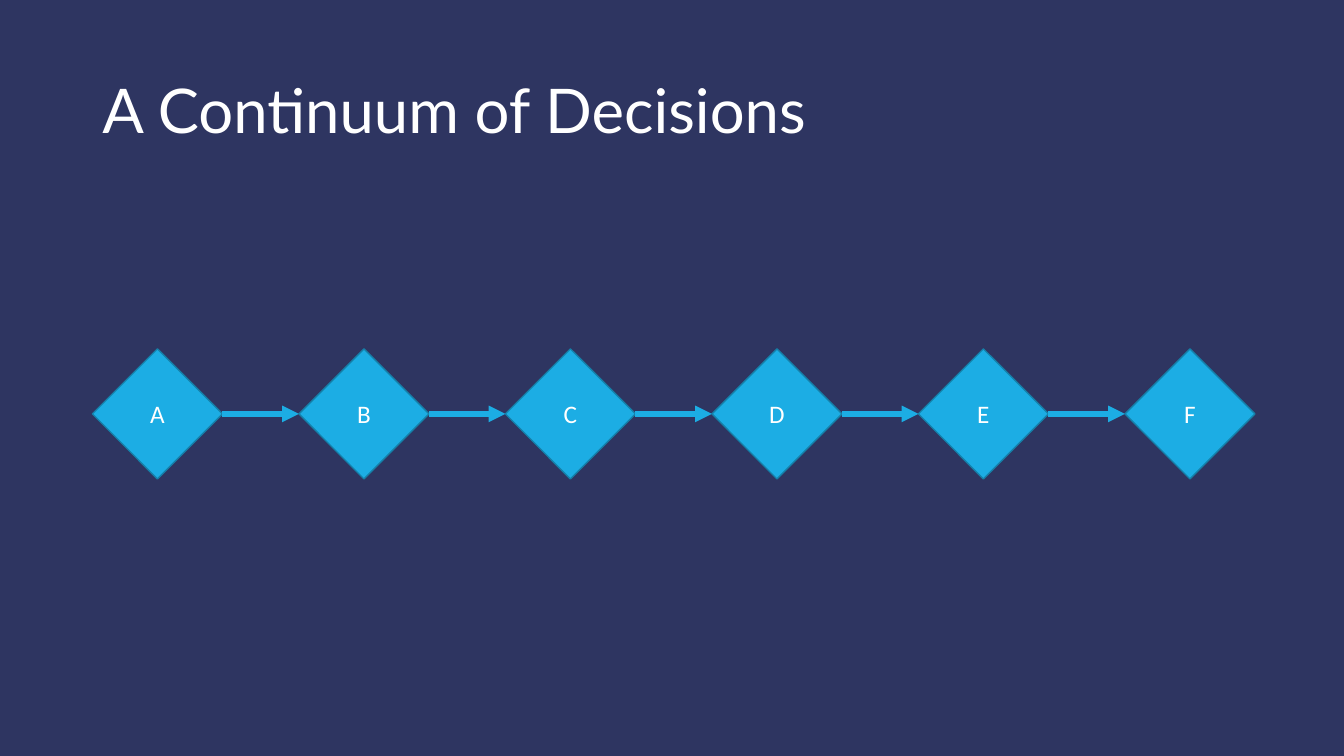
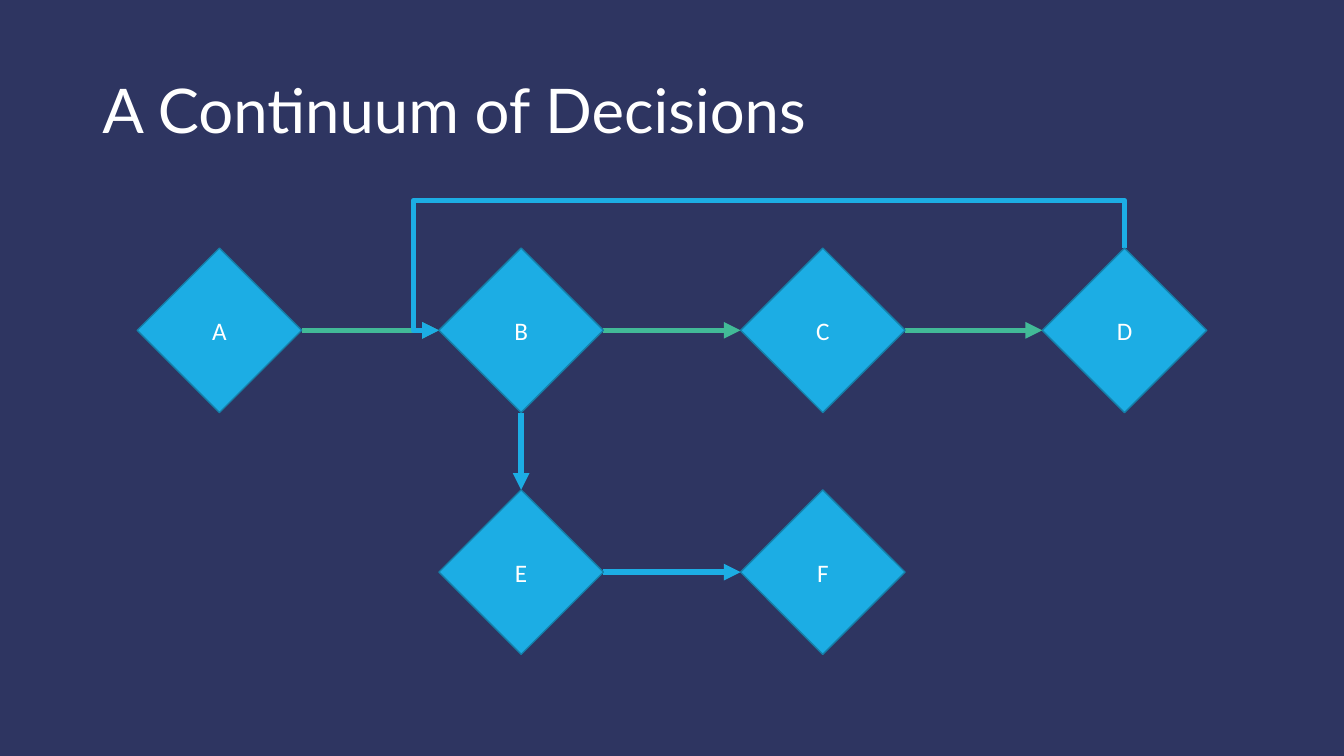
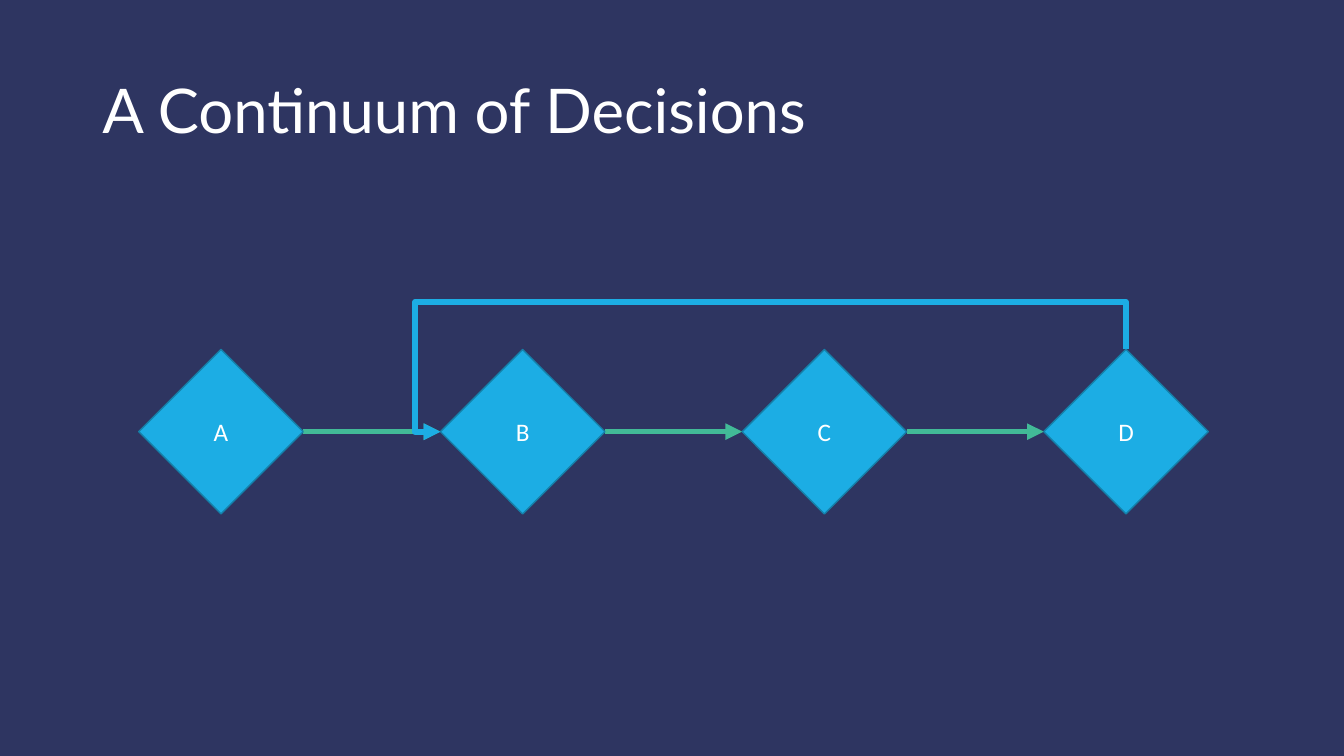
from pptx import Presentation
from pptx.dml.color import RGBColor
from pptx.enum.shapes import MSO_CONNECTOR, MSO_SHAPE
from pptx.enum.text import MSO_ANCHOR, PP_ALIGN
from pptx.oxml.ns import qn
from pptx.util import Pt
from lxml.etree import SubElement

NAVY = RGBColor(0x2E, 0x35, 0x61)
BLUE = RGBColor(0x1C, 0xAD, 0xE4)
EDGE = RGBColor(0x15, 0x80, 0xA9)
GREEN = RGBColor(0x42, 0xBA, 0x97)
WHITE = RGBColor(0xFF, 0xFF, 0xFF)

TITLE = "A Continuum of Decisions"
TITLE_BOX = {"left": Pt(66), "top": Pt(28.75), "width": Pt(828), "height": Pt(104.4)}
TITLE_FONT = {"name": "Lato", "size": Pt(44), "bold": False}
LABEL_FONT = {"name": "Calibri", "size": Pt(18)}
LOOP_RISE, LOOP_LEAD = 34, 18
TOP, LEFT, BOTTOM, RIGHT = range(4)  # connection sites of a diamond

# Nodes are (column, row); pitch is the column and row step in points.
MAIN_ROW = {"A": (0, 0), "B": (1, 0), "C": (2, 0), "D": (3, 0)}
MAIN_LINKS = [("A", "B", GREEN), ("B", "C", GREEN), ("C", "D", GREEN)]
SLIDES = [
    {"origin": (66, 249.2), "size": 92.9, "pitch": (147.5, 0),
     "nodes": {name: (col, 0) for col, name in enumerate("ABCDEF")},
     "links": [(a, b, BLUE) for a, b in zip("ABCDE", "BCDEF")],
     "loops": [], "nodes_on_top": False},
    {"origin": (98, 177.2), "size": 117.5, "pitch": (215.5, 172.7),
     "nodes": {**MAIN_ROW, "E": (1, 1), "F": (2, 1)},
     "links": MAIN_LINKS + [("E", "F", BLUE), ("B", "E", BLUE)],
     "loops": [("D", "B", BLUE)], "nodes_on_top": True},
    {"origin": (99.1, 249.6), "size": 117.5, "pitch": (215.5, 0),
     "nodes": MAIN_ROW, "links": MAIN_LINKS,
     "loops": [("D", "B", BLUE)], "nodes_on_top": True},
]


def apply(target, values):
    for name, value in values.items():
        setattr(target, name, value)


def format_text(tf, text, font, align):
    tf.word_wrap = True
    tf.vertical_anchor = MSO_ANCHOR.MIDDLE
    p = tf.paragraphs[0]
    p.alignment = align
    r = p.add_run()
    r.text = text
    apply(r.font, font)
    r.font.color.rgb = WHITE
    return p


def add_title(s):
    apply(s.shapes.title, TITLE_BOX)
    p = format_text(s.shapes.title.text_frame, TITLE, TITLE_FONT, PP_ALIGN.LEFT)
    p.line_spacing = 0.9


def add_diamond(s, name, x, y, size):
    sp = s.shapes.add_shape(MSO_SHAPE.DIAMOND, Pt(x), Pt(y), Pt(size), Pt(size))
    sp.shadow.inherit = False
    sp.fill.solid()
    sp.fill.fore_color.rgb = BLUE
    sp.line.color.rgb = EDGE
    sp.line.width = Pt(1)
    format_text(sp.text_frame, name, LABEL_FONT, PP_ALIGN.CENTER)
    return sp


def add_arrow(s, kind, start, start_site, end, end_site, color):
    cxn = s.shapes.add_connector(kind, 0, 0, 0, 0)
    cxn.begin_connect(start, start_site)
    cxn.end_connect(end, end_site)
    cxn.line.color.rgb = color
    cxn.line.width = Pt(4)
    SubElement(cxn.line._get_or_add_ln(), qn("a:tailEnd"), type="triangle")
    SubElement(cxn._element.spPr, qn("a:effectLst"))
    return cxn


def add_link(s, start, end, color):
    sites = (BOTTOM, TOP) if start.left == end.left else (RIGHT, LEFT)
    add_arrow(s, MSO_CONNECTOR.STRAIGHT, start, sites[0], end, sites[1], color)


def add_loop(s, start, end, color):
    """Arrow that leaves the top of start and runs back to the left of end."""
    cxn = add_arrow(s, MSO_CONNECTOR.ELBOW, start, TOP, end, LEFT, color)
    x1, y1 = start.left + start.width // 2, start.top
    x2, y2 = end.left, end.top + end.height // 2
    run, drop = x1 - x2, y2 - y1
    # The frame is stored unrotated, so its width is the drop.
    apply(cxn, {"left": (x1 + x2 - drop) // 2, "top": (y1 + y2 - run) // 2,
                "width": drop, "height": run})
    xfrm = cxn._element.spPr.find(qn("a:xfrm"))
    for key, value in {"rot": "16200000", "flipH": "1", "flipV": "1"}.items():
        xfrm.set(key, value)
    geom = cxn._element.spPr.find(qn("a:prstGeom"))
    geom.set("prst", "bentConnector4")
    guides = geom.find(qn("a:avLst"))
    if guides is None:
        guides = SubElement(geom, qn("a:avLst"))
    bends = (-Pt(LOOP_RISE) / drop, 1 + Pt(LOOP_LEAD) / run)
    for i, bend in enumerate(bends, 1):
        SubElement(guides, qn("a:gd"), name=f"adj{i}", fmla=f"val {round(bend * 100000)}")


def add_flow(s, flow):
    (x0, y0), (dx, dy) = flow["origin"], flow["pitch"]
    diamonds = {name: add_diamond(s, name, x0 + col * dx, y0 + row * dy, flow["size"])
                for name, (col, row) in flow["nodes"].items()}
    for add, key in ((add_link, "links"), (add_loop, "loops")):
        for start, end, color in flow[key]:
            add(s, diamonds[start], diamonds[end], color)
    if flow["nodes_on_top"]:
        for sp in diamonds.values():
            s.shapes._spTree.append(sp._element)


def main():
    prs = Presentation()
    prs.slide_width, prs.slide_height = Pt(960), Pt(540)
    fill = prs.slide_master.background.fill
    fill.solid()
    fill.fore_color.rgb = NAVY
    for flow in SLIDES:
        s = prs.slides.add_slide(prs.slide_layouts[5])
        add_title(s)
        add_flow(s, flow)
    prs.save("out.pptx")


if __name__ == "__main__":
    main()
